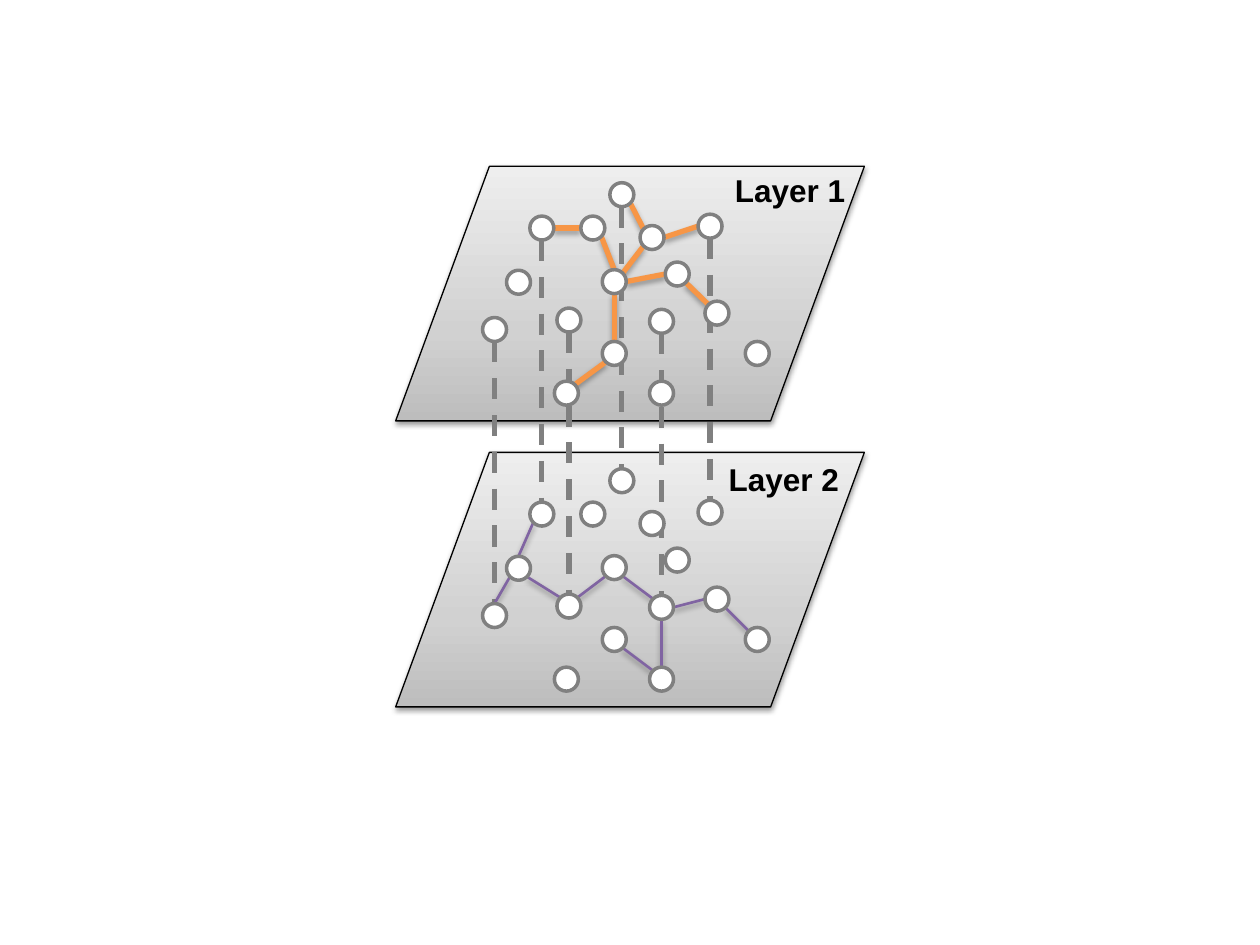
import lxml.etree
import pptx
import pptx.dml.color
import pptx.enum.dml
import pptx.enum.shapes
import pptx.enum.text
import pptx.oxml
import pptx.util

COLORS = {"black": "000000", "white": "FFFFFF", "gray": "808080",
          "orange": "F79646", "purple": "8064A2"}
PLANE_STOPS = {0: "BDBDBD", 35: "D1D1D1", 100: "EEEEEE"}
NAMESPACE = 'xmlns:a="http://schemas.openxmlformats.org/drawingml/2006/main"'
SHADOW = (f'<a:effectLst {NAMESPACE}><a:outerShdw blurRad="40000" dist="%d" '
          'dir="5400000" rotWithShape="0"><a:srgbClr val="000000">'
          '<a:alpha val="%d"/></a:srgbClr></a:outerShdw></a:effectLst>')
NO_SHADOW = f'<a:effectLst {NAMESPACE}/>'

deck = pptx.Presentation()
deck.slide_width = pptx.util.Inches(10)
deck.slide_height = pptx.util.Inches(7.5)
page = deck.slides.add_slide(deck.slide_layouts[6])
unit = deck.slide_width / 100  # one percent of the slide width
rgb = pptx.dml.color.RGBColor.from_string
kinds = pptx.enum.shapes.MSO_SHAPE

# Grid positions in units; layer 2 repeats the nodes of layer 1 further down
LAYER_DROP = 22.7
RADIUS = 0.95
NODES = {
    "a": (56.35, 17.95), "b": (45.15, 25.4), "c": (49.35, 15.45),
    "d": (51.75, 18.85), "e": (39.25, 26.15), "f": (41.15, 22.4),
    "g": (43, 18.1), "h": (52.5, 31.2), "i": (48.75, 28.05),
    "j": (56.9, 24.85), "k": (52.5, 25.5), "l": (53.75, 21.75),
    "m": (60.1, 28.05), "n": (48.75, 22.35), "o": (44.95, 31.2),
    "p": (47.05, 18.1),
}
DIAGONAL = 0.71
SITES = {"N": (0, -1), "S": (0, 1), "E": (1, 0), "W": (-1, 0),
         "NE": (DIAGONAL, -DIAGONAL), "NW": (-DIAGONAL, -DIAGONAL),
         "SE": (DIAGONAL, DIAGONAL), "SW": (-DIAGONAL, DIAGONAL)}

# Each edge: node and rim site at its start, then at its end
LAYERS = [
    {"title": "Layer 1", "title_at": (56.3, 13.1), "drop": 0,
     "color": "orange", "weight": 3,
     "edges": ["n E l W", "l SE j NW", "n S i N", "i SW o NE", "n NE d SW",
               "d NW c SE", "d E a W", "g E p W", "p SE n N"]},
    {"title": "Layer 2", "title_at": (55.8, 36), "drop": LAYER_DROP,
     "color": "purple", "weight": 1.5,
     "edges": ["k E j W", "n SE k NW", "k S h N", "i SE h NW", "g SW f N",
               "f SE b NW", "f SW e N", "j SE m NW", "b NE n SW"]},
]
COUPLED_NODES = "akcbge"


def draw_edge(shapes, edge, drops, color, weight, dash=None, effect=NO_SHADOW):
    start, start_site, end, end_site = edge.split()
    points = []
    for node, site, drop in ((start, start_site, drops[0]), (end, end_site, drops[1])):
        points.append(int((NODES[node][0] + RADIUS * SITES[site][0]) * unit))
        points.append(int((NODES[node][1] + RADIUS * SITES[site][1] + drop) * unit))
    line = shapes.add_connector(pptx.enum.shapes.MSO_CONNECTOR.STRAIGHT, *points)
    line.line.color.rgb = rgb(COLORS[color])
    line.line.width = pptx.util.Pt(weight)
    if dash:
        line.line.dash_style = dash
    line._element.spPr.append(pptx.oxml.parse_xml(effect))


def add_text(text, left, top, width, height, size=18, font="Arial",
             color="black", bold=True):
    box = page.shapes.add_textbox(*(int(v * unit) for v in (left, top, width, height)))
    box.text_frame.word_wrap = True
    box.text_frame.auto_size = pptx.enum.text.MSO_AUTO_SIZE.SHAPE_TO_FIT_TEXT
    para = box.text_frame.paragraphs[0]
    para.alignment = pptx.enum.text.PP_ALIGN.CENTER
    span = para.add_run()
    span.text = text
    span.font.size = pptx.util.Pt(size)
    span.font.name = font
    span.font.bold = bold
    span.font.color.rgb = rgb(COLORS[color])


# Planes, the lower one first
for layer in reversed(LAYERS):
    plane = page.shapes.add_shape(
        kinds.FLOWCHART_DATA,
        *(int(v * unit) for v in (31.4, 13.2 + layer["drop"], 37.2, 20.2)))
    plane.fill.gradient()
    plane.fill.gradient_angle = 90
    stops = plane._element.spPr.find(".//{*}gsLst")
    for stop in list(stops):
        stops.remove(stop)
    for share, shade in PLANE_STOPS.items():
        stops.append(pptx.oxml.parse_xml(
            f'<a:gs {NAMESPACE} pos="{share * 1000}"><a:srgbClr val="{shade}"/></a:gs>'))
    plane.line.color.rgb = rgb(COLORS["black"])
    plane.line.width = pptx.util.Pt(0.75)
    plane._element.spPr.append(pptx.oxml.parse_xml(SHADOW % (20000, 38000)))

# Dashed couplings between the layers
couplings = page.shapes.add_group_shape()
for node in COUPLED_NODES:
    draw_edge(couplings.shapes, f"{node} S {node} N", (0, LAYER_DROP), "gray", 3,
              dash=pptx.enum.dml.MSO_LINE.DASH)

# Networks: edges below, nodes on top, then the layer title
for layer in LAYERS:
    network = page.shapes.add_group_shape()
    for edge in layer["edges"]:
        draw_edge(network.shapes, edge, (layer["drop"], layer["drop"]),
                  layer["color"], layer["weight"], effect=SHADOW % (23000, 35000))
    for x, y in NODES.values():
        circle = network.shapes.add_shape(
            kinds.OVAL, int((x - RADIUS) * unit),
            int((y - RADIUS + layer["drop"]) * unit),
            int(2 * RADIUS * unit), int(2 * RADIUS * unit))
        circle.shadow.inherit = False
        circle.fill.solid()
        circle.fill.fore_color.rgb = rgb(COLORS["white"])
        circle.line.color.rgb = rgb(COLORS["gray"])
        circle.line.width = pptx.util.Pt(2)
    add_text(layer["title"], *layer["title_at"], 12.8, 4)

deck.save("out.pptx")
